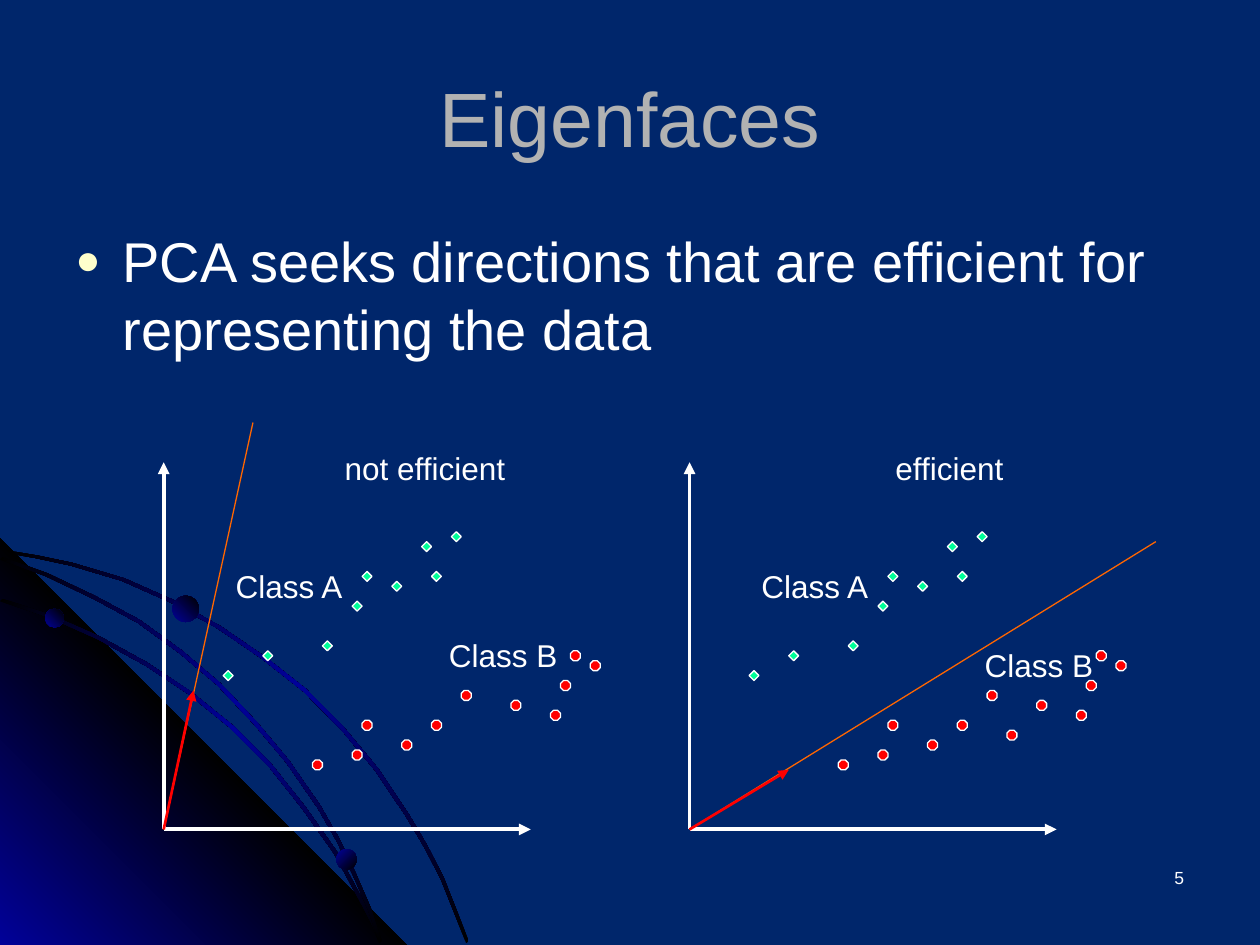
import pptx
import pptx.dml.color
import pptx.enum.shapes
import pptx.enum.text
import pptx.oxml
import pptx.oxml.ns
import pptx.util
from lxml import etree

Cm, Pt = pptx.util.Cm, pptx.util.Pt
RGB = pptx.dml.color.RGBColor
SHAPE = pptx.enum.shapes.MSO_SHAPE
ALIGN = pptx.enum.text.PP_ALIGN
ANCHOR = pptx.enum.text.MSO_ANCHOR
qn = pptx.oxml.ns.qn

NAVY = RGB(0x00, 0x26, 0x6B)
WHITE = RGB(0xFF, 0xFF, 0xFF)
GREY = RGB(0xB2, 0xB2, 0xB2)
CREAM = RGB(0xFF, 0xFF, 0xCC)
MINT = RGB(0x00, 0xFF, 0x99)
RED = RGB(0xFF, 0x00, 0x00)
ORANGE = RGB(0xFF, 0x66, 0x00)
BLUE = RGB(0x01, 0x01, 0x99)
BLACK = RGB(0x00, 0x00, 0x00)

# Lower edges of the three orbits, in cm from the top left of the corner art
OUTER_ORBIT = [(0, 0.28), (0.71, 0.4), (1.42, 0.55), (2.46, 0.86), (3.43, 1.29),
               (4.39, 1.82), (5.28, 2.43), (6.12, 3.09), (6.88, 3.86), (7.57, 4.69),
               (8.2, 5.63), (8.56, 6.24), (8.89, 6.88), (9.14, 7.51), (9.4, 8.17)]
INNER_ORBIT = [(0, 1.27), (0.99, 1.6), (1.96, 2.03), (2.92, 2.56), (3.81, 3.15),
               (4.65, 3.83), (5.41, 4.59), (6.1, 5.46), (6.73, 6.35), (7.24, 7.29),
               (7.47, 7.74), (7.65, 8.17)]
MIDDLE_ORBIT = [(0, 0.43), (0.91, 0.76), (1.88, 1.22), (2.77, 1.7), (3.61, 2.31),
                (4.39, 2.97), (5.13, 3.76), (5.77, 4.52), (6.4, 5.43), (6.78, 6.09),
                (7.11, 6.78), (7.42, 7.49), (7.65, 8.17)]
ORBIT_WIDTH = 0.05
BEADS = [(0.91, 1.42, 0.38, 315), (6.78, 6.27, 0.41, 45), (3.48, 1.16, 0.53, 315)]

# Data in grid cells, counted right and up from the origin of a plot
CELL = 0.2
AXIS_LENGTH = 37
CLASS_A = [(6, 16), (20, 26), (27, 26), (26, 29), (16, 19), (10, 18), (19, 23),
           (29, 30), (23, 25)]
CLASS_B = [(19, 8), (20, 11), (30, 14), (24, 9), (27, 11), (40, 15), (39, 12),
           (43, 17), (35, 13), (41, 18), (15, 7)]


def fill_gradient(shape, colors, angle):
    shape.shadow.inherit = False
    shape.line.fill.background()
    shape.fill.gradient()
    gradient = shape.fill._xPr.find(qn("a:gradFill"))
    for child in list(gradient):
        gradient.remove(child)
    stops = etree.SubElement(gradient, qn("a:gsLst"))
    for i, color in enumerate(colors):
        stop = etree.SubElement(stops, qn("a:gs"), pos=str(100000 * i // (len(colors) - 1)))
        etree.SubElement(stop, qn("a:srgbClr"), val=str(color))
    etree.SubElement(gradient, qn("a:lin"), ang=str(angle * 60000), scaled="0")


def add_outline(slide, points, left, top, colors, angle):
    corners = [(Cm(left + x), Cm(top + y)) for x, y in points]
    builder = slide.shapes.build_freeform(*corners[0])
    builder.add_line_segments(corners[1:], close=True)
    fill_gradient(builder.convert_to_shape(), colors, angle)


def add_line(slide, start, end, color, width, arrow=False):
    line = slide.shapes.add_connector(
        pptx.enum.shapes.MSO_CONNECTOR.STRAIGHT, *map(Cm, start + end))
    line.line.color.rgb = color
    line.line.width = Pt(width)
    if arrow:
        etree.SubElement(line.line._get_or_add_ln(), qn("a:tailEnd"), type="triangle")
    etree.SubElement(line._element.spPr, qn("a:effectLst"))


def format_paragraph(paragraph, size, color, align=ALIGN.LEFT):
    paragraph.alignment = align
    paragraph.font.size = Pt(size)
    paragraph.font.name = "Arial"
    paragraph.font.color.rgb = color


def add_text(slide, text, box, size, align=ALIGN.LEFT, wrap=True):
    frame = slide.shapes.add_textbox(*map(Cm, box)).text_frame
    frame.word_wrap = wrap
    frame.text = text
    format_paragraph(frame.paragraphs[0], size, WHITE, align)


def add_corner_art(slide, left, top, side):
    def add_orbit(edge):
        upper = [(x + ORBIT_WIDTH, y - ORBIT_WIDTH) for x, y in reversed(edge)]
        add_outline(slide, edge + upper, left, top, [BLACK, BLUE, BLACK], 45)

    add_orbit(OUTER_ORBIT)
    add_outline(slide, [(0, 0), (side, side), (0, side)], left, top,
                [BLUE, BLACK, BLUE], 315)
    add_orbit(INNER_ORBIT)
    add_orbit(MIDDLE_ORBIT)
    for x, y, size, angle in BEADS:
        bead = slide.shapes.add_shape(
            SHAPE.OVAL, Cm(left + x), Cm(top + y), Cm(size), Cm(size))
        fill_gradient(bead, [BLUE, BLACK], angle)


def format_title(slide, text, box):
    title = slide.shapes.title
    title.left, title.top, title.width, title.height = map(Cm, box)
    frame = title.text_frame
    frame.text = text
    frame.auto_size = pptx.enum.text.MSO_AUTO_SIZE.NONE
    frame.vertical_anchor = ANCHOR.MIDDLE
    format_paragraph(frame.paragraphs[0], 44, GREY, ALIGN.CENTER)


def add_statement(slide, text, box):
    statement = slide.shapes.add_shape(SHAPE.RECTANGLE, *map(Cm, box))
    statement.shadow.inherit = False
    statement.fill.solid()
    statement.fill.fore_color.rgb = NAVY
    statement.line.fill.background()
    frame = statement.text_frame
    frame.word_wrap = True
    frame.vertical_anchor = ANCHOR.TOP
    frame.text = text
    paragraph = frame.paragraphs[0]
    # Hanging bullet
    properties = paragraph._p.get_or_add_pPr()
    properties.set("marL", str(Cm(0.95)))
    properties.set("indent", str(-Cm(0.95)))
    bullet_color = etree.SubElement(properties, qn("a:buClr"))
    etree.SubElement(bullet_color, qn("a:srgbClr"), val=str(CREAM))
    etree.SubElement(properties, qn("a:buSzPct"), val="75000")
    etree.SubElement(properties, qn("a:buFont"), typeface="Arial")
    etree.SubElement(properties, qn("a:buChar"), char="●")
    format_paragraph(paragraph, 32, WHITE)


def add_plot(slide, left, bottom, class_b, direction, direction_end, labels):
    def at(x, y):
        return left + x * CELL, bottom - y * CELL

    origin = at(0, 0)
    # Axes
    for end in (at(0, AXIS_LENGTH), at(AXIS_LENGTH, 0)):
        add_line(slide, origin, end, WHITE, 2.25, arrow=True)
    # Samples of both classes
    for points, kind, color in ((CLASS_A, SHAPE.DIAMOND, MINT),
                                (class_b, SHAPE.OCTAGON, RED)):
        for x, y in points:
            sample = slide.shapes.add_shape(kind, *map(Cm, at(x, y)), Cm(CELL), Cm(CELL))
            sample.shadow.inherit = False
            sample.fill.solid()
            sample.fill.fore_color.rgb = color
            sample.line.color.rgb = WHITE
            sample.line.width = Pt(0.75)
    # Projection direction and its unit vector
    add_line(slide, origin, at(*direction_end), ORANGE, 0.75)
    add_line(slide, origin, at(*direction), RED, 1.5, arrow=True)
    # Labels
    for text, x, y, width in labels:
        add_text(slide, text, (*at(x, y), width, 1.02), 18, wrap=False)


def main():
    deck = pptx.Presentation()
    deck.slide_width, deck.slide_height = Cm(25.4), Cm(19.05)
    slide = deck.slides.add_slide(deck.slide_layouts[5])
    slide.background.fill.solid()
    slide.background.fill.fore_color.rgb = NAVY

    add_corner_art(slide, 0, 10.85, 8.2)
    add_text(slide, "5", (18.2, 17.35, 5.92, 1.27), 10, ALIGN.RIGHT)
    format_title(slide, "Eigenfaces", (1.27, 0.76, 22.86, 3.18))
    add_statement(
        slide, "PCA seeks directions that are efficient for representing the data",
        (1.27, 4.45, 22.86, 3.28))
    add_plot(slide, 3.3, 16.72, CLASS_B, (3, 14), (9, 41),
             [("not efficient", 17, 39, 3.76), ("Class A", 6, 27.1, 2.7),
              ("Class B", 27.5, 20.1, 2.7)])
    add_plot(slide, 13.9, 16.72, CLASS_B + [(32, 10)], (10, 6), (47, 29),
             [("efficient", 19.5, 39, 2.7), ("Class A", 6, 27.1, 2.7),
              ("Class B", 28.5, 19.1, 2.7)])
    deck.save("out.pptx")


if __name__ == "__main__":
    main()
